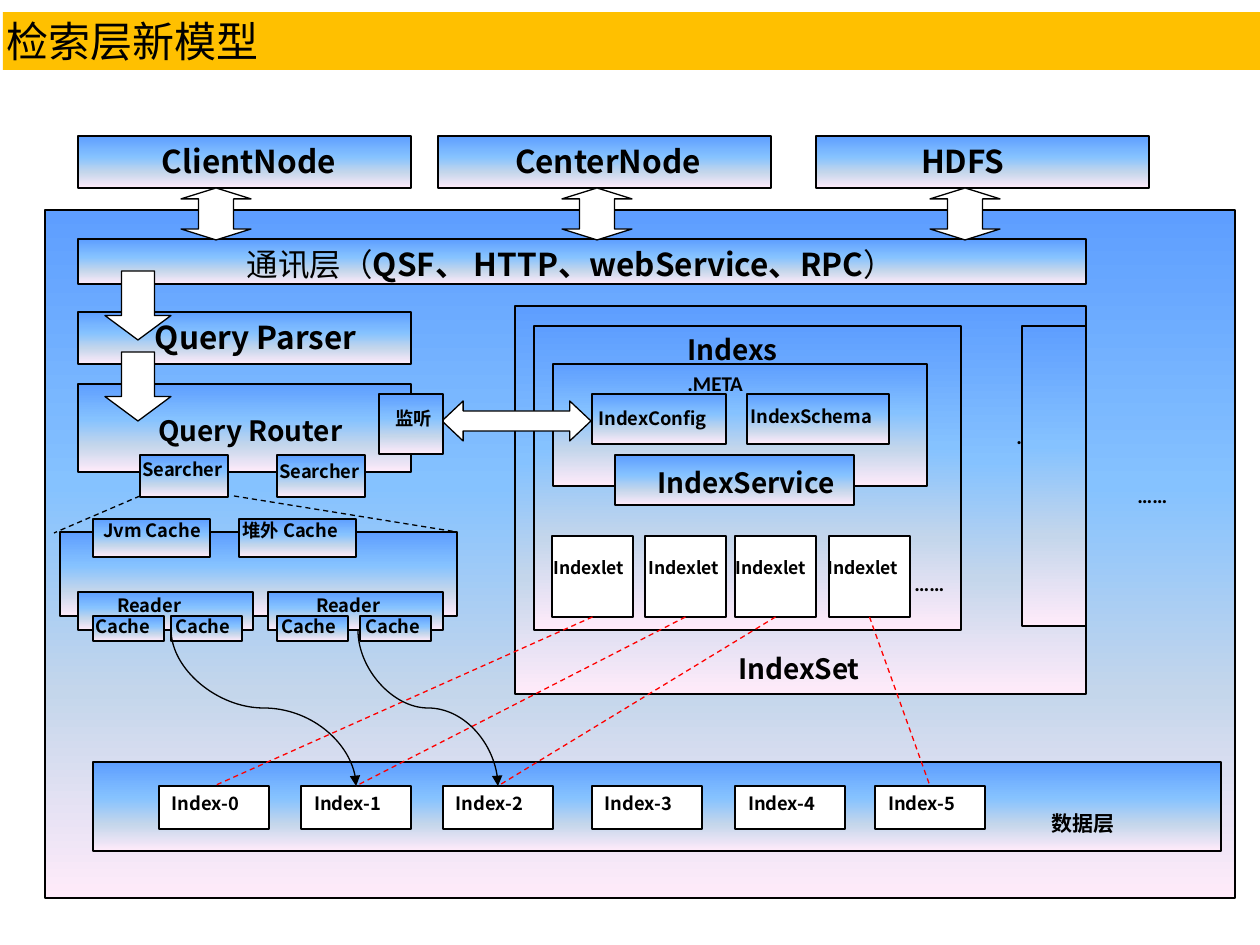
from lxml import etree
from pptx import Presentation
from pptx import util as u
from pptx.dml.color import RGBColor
from pptx.enum import dml, shapes, text
from pptx.oxml.ns import qn

SCALE = 914400 / 126
SANS, LATIN = "Noto Sans CJK SC", "Calibri"
STOPS = [(0, "5E9EFF"), (40, "85C2FF"), (70, "C4D6EB"), (100, "FFEBFA")]
MSO = shapes.MSO_SHAPE


def px(n):
    """Turn px into EMU."""
    return u.Emu(round(n * SCALE))


def color(value):
    """Turn a hex string into a colour."""
    return RGBColor.from_string(value)


def write(p, s, size, bold=True, font=SANS):
    """Add a formatted run to a paragraph."""
    r = p.add_run()
    r.text = s
    r.font.size, r.font.bold, r.font.name = u.Pt(size), bold, font
    r.font.color.rgb = color("000000")
    etree.SubElement(r._r.get_or_add_rPr(), qn("a:ea")).set("typeface", SANS)


def shape(slide, box, kind=MSO.RECTANGLE, adj=None):
    """Add a white outlined shape."""
    sp = slide.shapes.add_shape(kind, *map(px, box))
    sp.shadow.inherit = False
    sp.fill.solid()
    sp.fill.fore_color.rgb = color("FFFFFF")
    sp.line.color.rgb = color("000000")
    sp.line.width = u.Pt(0.75)
    if adj is not None:
        sp.adjustments[0], sp.adjustments[1] = 0.5, adj
    return sp


def panel(slide, *box):
    """Add a rectangle with the blue to pink gradient."""
    sp = shape(slide, box)
    sp.fill.gradient()
    sp.fill.gradient_angle = 270
    stops = sp._element.spPr.find(".//" + qn("a:gsLst"))
    stops.clear()
    for pos, value in STOPS:
        gs = etree.SubElement(stops, qn("a:gs"), pos=str(pos * 1000))
        etree.SubElement(gs, qn("a:srgbClr"), val=value)
    return sp


def inside(sp, s, size, left=13, bold=True):
    """Write at the top left of a shape and return the paragraph."""
    tf = sp.text_frame
    tf.word_wrap = True
    tf.vertical_anchor = text.MSO_ANCHOR.TOP
    tf.margin_left = px(left)
    p = tf.paragraphs[0]
    p.alignment = text.PP_ALIGN.LEFT
    write(p, s, size, bold)
    return p


def label(slide, s, x, y, w, size=10.5, font=SANS):
    """Add a one-line text box."""
    tf = slide.shapes.add_textbox(px(x), px(y), px(w), px(38)).text_frame
    tf.word_wrap = True
    write(tf.paragraphs[0], s, size, font=font)


def line(slide, start, end, value="000000", dashed=True, kind=shapes.MSO_CONNECTOR.STRAIGHT):
    """Add a thin connector."""
    c = slide.shapes.add_connector(kind, *map(px, (*start, *end)))
    c.line.color.rgb = color(value)
    c.line.width = u.Pt(0.75)
    if dashed:
        c.line.dash_style = dml.MSO_LINE.DASH
    etree.SubElement(c._element.spPr, qn("a:effectLst"))
    return c


def curve(slide, start, end):
    """Add a curved arrow that leaves and arrives vertically."""
    cx, cy = (start[0] + end[0]) / 2, (start[1] + end[1]) / 2
    dx, dy = (end[0] - start[0]) / 2, (end[1] - start[1]) / 2
    c = line(slide, (cx - dy, cy - dx), (cx + dy, cy + dx),
             dashed=False, kind=shapes.MSO_CONNECTOR.CURVE)
    xfrm = c._element.spPr.find(qn("a:xfrm"))
    xfrm.set("rot", "16200000")
    xfrm.set("flipH", "1")
    etree.SubElement(c.line._get_or_add_ln(), qn("a:tailEnd"), type="triangle")


def title(slide, s):
    """Format the title placeholder as an amber band."""
    sp = slide.shapes.title
    sp.left, sp.top, sp.width, sp.height = map(px, (3, 12, 1261, 58))
    sp.fill.solid()
    sp.fill.fore_color.rgb = color("FFC000")
    tf = sp.text_frame
    tf.auto_size = text.MSO_AUTO_SIZE.NONE
    tf.vertical_anchor = text.MSO_ANCHOR.MIDDLE
    tf.margin_left = tf.margin_right = tf.margin_top = tf.margin_bottom = px(4)
    tf.paragraphs[0].alignment = text.PP_ALIGN.LEFT
    write(tf.paragraphs[0], s, 24, False)


def index_set(slide):
    """Draw the index set and return its indexlets."""
    panel(slide, 515, 306, 571, 388)
    label(slide, "IndexSet", 726, 645, 164, 16)
    panel(slide, 534, 326, 427, 304)
    panel(slide, 553, 364, 374, 122)
    label(slide, ".META", 675, 364, 154, 12, LATIN)
    indexlets = [shape(slide, (x, 536, 81, 81)) for x in (552, 645, 735, 829)]
    for x in (541, 636, 723, 815):
        label(slide, "Indexlet", x, 551, 111, 10)
    label(slide, "……", 902, 564, 70, 12, LATIN)
    label(slide, "……", 1004, 417, 110, 12, LATIN)
    panel(slide, 592, 394, 134, 50)
    label(slide, "IndexConfig", 586, 401, 164)
    panel(slide, 747, 394, 142, 50)
    label(slide, "IndexSchema", 738, 399, 179)
    panel(slide, 1022, 326, 64, 300)
    shape(slide, (442, 401, 149, 40), MSO.LEFT_RIGHT_ARROW, 0.53)
    label(slide, "Indexs", 675, 326, 154, 16)
    panel(slide, 615, 455, 239, 50)
    label(slide, "IndexService", 645, 459, 223, 16)
    return indexlets


def query_side(slide):
    """Draw the communication layer, the query boxes and the caches."""
    p = inside(panel(slide, 78, 239, 1008, 45), "通讯层（", 18, 169, False)
    write(p, "QSF、 HTTP、webService、RPC", 18)
    write(p, "）", 18, False)
    inside(panel(slide, 78, 312, 333, 52), "Query Parser", 18, 77)
    panel(slide, 78, 384, 333, 88)
    for y in (271, 352):
        shape(slide, (105, y, 66, 69), MSO.DOWN_ARROW, 0.37)
    label(slide, "Query Router", 146, 407, 233, 16)
    for x, y in ((140, 452), (277, 454)):
        panel(slide, x, 455, 88, 42)
        label(slide, "Searcher", x - 10, y, 115)
    panel(slide, 60, 532, 397, 84)
    line(slide, (140, 496), (54, 533))
    line(slide, (234, 496), (457, 532))
    panel(slide, 379, 394, 64, 60)
    label(slide, "监听", 383, 401, 84)
    for x, reader in ((78, 105), (268, 304)):
        panel(slide, x, 592, 175, 38)
        label(slide, "Reader", reader, 588, 127)
    for s, x, left in (("Jvm Cache", 93, 91), ("堆外 Cache", 239, 230)):
        panel(slide, x, 519, 117, 38)
        label(slide, s, left, 513, 160)
    for x, left in ((93, 83), (171, 163), (277, 269), (360, 353)):
        panel(slide, x, 616, 71, 25)
        label(slide, "Cache", left, 609, 91)


def data_layer(slide, indexlets):
    """Draw the indexes and tie the indexlets to them."""
    panel(slide, 93, 762, 1128, 89)
    label(slide, "数据层", 1039, 804, 164, 12, LATIN)
    indexes = []
    for i, x in enumerate((159, 301, 443, 592, 735, 875)):
        sp = shape(slide, (x, 786, 110, 43))
        inside(sp, f"Index-{i}", 10.5)
        indexes.append(sp)
    for indexlet, i in zip(indexlets, (0, 1, 2, 5)):
        c = line(slide, (0, 0), (1, 1), "FF0000")
        c.begin_connect(indexlet, 2)
        c.end_connect(indexes[i], 0)
    curve(slide, (171, 630), (356, 786))
    curve(slide, (358, 630), (498, 786))


def main():
    """Build the slide."""
    prs = Presentation()
    prs.slide_width, prs.slide_height = px(1260), px(945)
    slide = prs.slides.add_slide(prs.slide_layouts[5])
    title(slide, "检索层新模型")
    panel(slide, 45, 210, 1190, 688)
    indexlets = index_set(slide)
    query_side(slide)
    data_layer(slide, indexlets)
    label(slide, "……", 1125, 476, 110, 12, LATIN)
    nodes = (("ClientNode", 78, 84, 190), ("CenterNode", 438, 77, 571), ("HDFS", 816, 105, 939))
    for s, x, left, arrow in nodes:
        inside(panel(slide, x, 136, 333, 52), s, 18, left)
        sp = shape(slide, (arrow, 179, 52, 70), MSO.LEFT_RIGHT_ARROW, 0.21)
        sp.rotation = 90
    prs.save("out.pptx")


if __name__ == "__main__":
    main()
